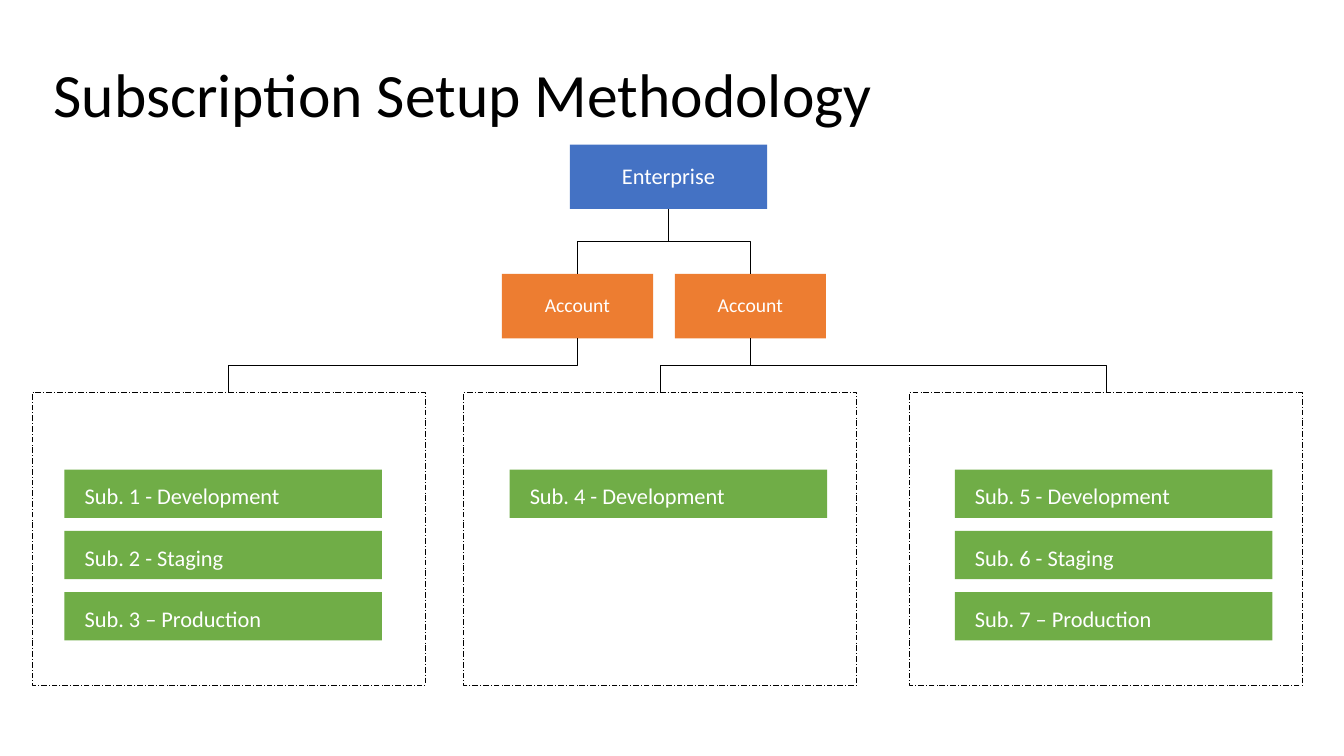
from lxml import etree
from pptx import Presentation
from pptx.dml.color import RGBColor
from pptx.enum import dml, shapes, text
from pptx.oxml import ns
from pptx.util import Pt

BLACK = RGBColor(0x00, 0x00, 0x00)
WHITE = RGBColor(0xFF, 0xFF, 0xFF)
BLUE = RGBColor(0x44, 0x72, 0xC4)
ORANGE = RGBColor(0xED, 0x7D, 0x31)
GREEN = RGBColor(0x70, 0xAD, 0x47)

LEFT, CENTER = text.PP_ALIGN.LEFT, text.PP_ALIGN.CENTER
TOP, MIDDLE = text.MSO_ANCHOR.TOP, text.MSO_ANCHOR.MIDDLE

STEP = 318  # between subscription columns
PITCH = 43.75  # between subscription bars
COLUMNS = [
    (23, ["Sub. 1 - Development", "Sub. 2 - Staging", "Sub. 3 – Production"]),
    (331.2, ["Sub. 4 - Development"]),
    (649.6, ["Sub. 5 - Development", "Sub. 6 - Staging",
             "Sub. 7 – Production"]),
]


def put(item, values):
    for name, value in values.items():
        setattr(item, name, value)


def write(shape, words, size, color, align, anchor):
    frame = shape.text_frame
    frame.text = words
    put(frame, {"word_wrap": True, "vertical_anchor": anchor,
                "auto_size": text.MSO_AUTO_SIZE.NONE})
    para = frame.paragraphs[0]
    put(para, {"alignment": align, "line_spacing": 0.9})
    put(para.font, {"name": "Calibri", "size": Pt(size)})
    para.font.color.rgb = color


def add_rect(slide, left, top, width, height):
    rect = slide.shapes.add_shape(
        shapes.MSO_SHAPE.RECTANGLE, Pt(left), Pt(top), Pt(width), Pt(height))
    rect.shadow.inherit = False
    return rect


def add_box(slide, place, fill, words, size=16, align=CENTER, anchor=MIDDLE):
    box = add_rect(slide, *place)
    box.fill.solid()
    box.fill.fore_color.rgb = fill
    box.line.fill.background()
    put(box.text_frame, {"margin_left": Pt(14.4), "margin_right": Pt(14.4),
                         "margin_top": Pt(11.5), "margin_bottom": Pt(11.5)})
    write(box, words, size, WHITE, align, anchor)
    return box


def add_frame(slide, left):
    frame = add_rect(slide, left, 280.2, 280.8, 209.3)
    frame.fill.background()
    frame.line.color.rgb = BLACK
    put(frame.line, {"width": Pt(0.5),
                     "dash_style": dml.MSO_LINE.LONG_DASH_DOT})
    return frame


def add_link(slide, upper, lower):
    """Join bottom to top with an elbow turned to leave vertically."""
    x1, y1 = upper.left + upper.width // 2, upper.top + upper.height
    x2, y2 = lower.left + lower.width // 2, lower.top
    midx, midy = (x1 + x2) // 2, (y1 + y2) // 2
    run, rise = abs(x2 - x1) // 2, (y2 - y1) // 2
    side = 1 if x2 < x1 else -1
    link = slide.shapes.add_connector(
        shapes.MSO_CONNECTOR.ELBOW, midx - side * rise, midy - run,
        midx + side * rise, midy + run)
    link.line.color.rgb = BLACK
    link.line.width = Pt(0.5)
    props = link._element.spPr
    props.find(ns.qn("a:xfrm")).set("rot", str(side * 90 % 360 * 60000))
    etree.SubElement(props, ns.qn("a:effectLst"))


def main():
    deck = Presentation()
    put(deck, {"slide_width": Pt(960), "slide_height": Pt(540)})
    slide = deck.slides.add_slide(deck.slide_layouts[5])

    title = slide.shapes.title
    put(title, {"left": Pt(31), "top": Pt(17.3),
                "width": Pt(828), "height": Pt(104.4)})
    write(title, "Subscription Setup Methodology", 44, BLACK, LEFT, MIDDLE)

    firm = add_box(slide, (407, 103.3, 141, 46), BLUE, "Enterprise")
    accounts = [add_box(slide, (left, 195.7, 108, 46), ORANGE, "Account", 14)
                for left in (358.5, 482)]

    frames = []
    for col, (left, subs) in enumerate(COLUMNS):
        for row, name in enumerate(subs):
            place = (46 + col * STEP, 335.4 + row * PITCH, 226.8, 34.5)
            add_box(slide, place, GREEN, name, align=LEFT, anchor=TOP)
        frames.append(add_frame(slide, left))

    for account in accounts:
        add_link(slide, firm, account)
    for owner, frame in zip((0, 1, 1), frames):
        add_link(slide, accounts[owner], frame)

    deck.save("out.pptx")


if __name__ == "__main__":
    main()
